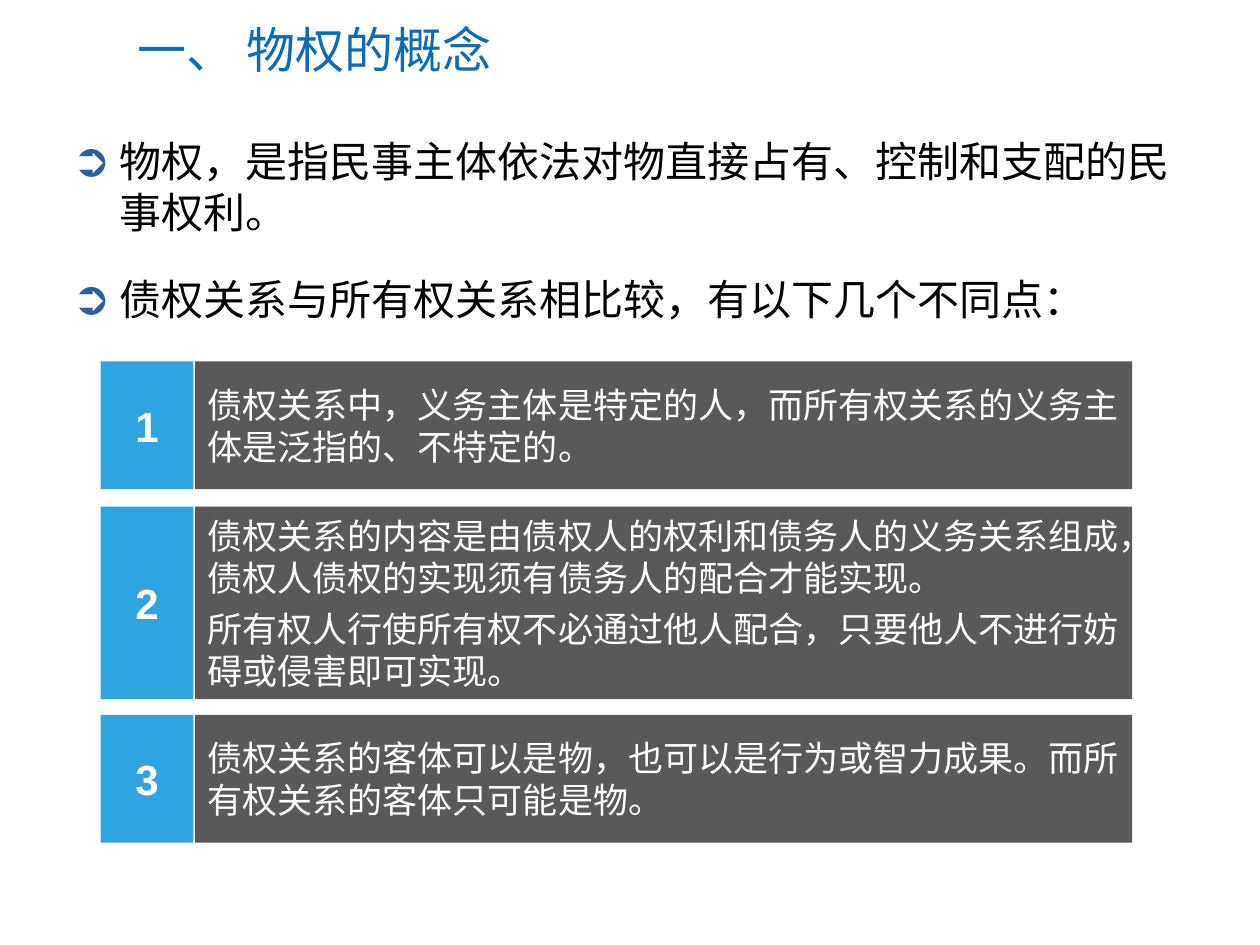
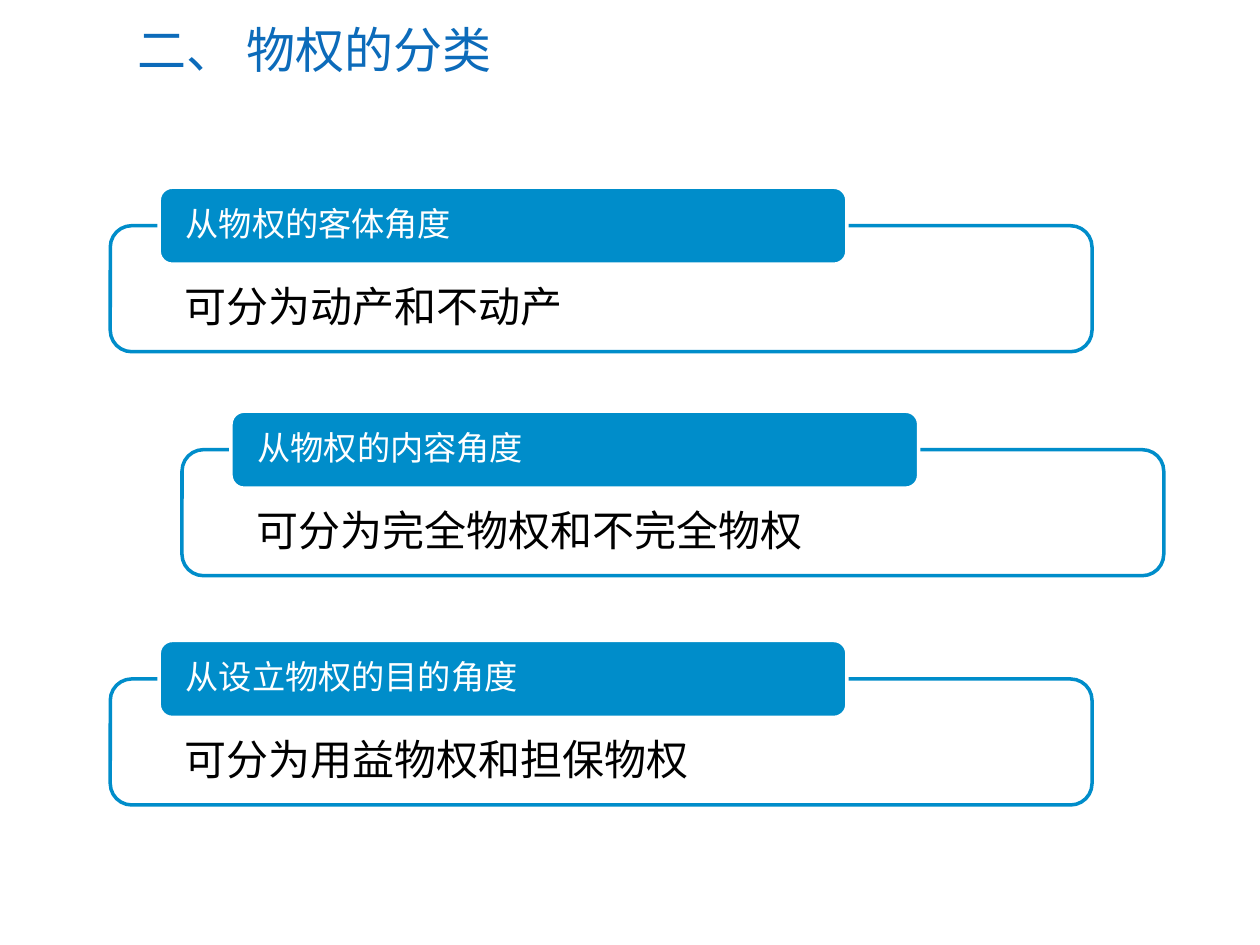
from lxml import etree
from pptx import Presentation
from pptx.dml.color import RGBColor
from pptx.enum.shapes import MSO_SHAPE
from pptx.enum.text import MSO_ANCHOR, MSO_AUTO_SIZE, PP_ALIGN
from pptx.oxml.ns import qn
from pptx.util import Pt

RECTANGLE = MSO_SHAPE.RECTANGLE
ROUNDED = MSO_SHAPE.ROUNDED_RECTANGLE
TOP, MIDDLE = MSO_ANCHOR.TOP, MSO_ANCHOR.MIDDLE
LEFT, CENTER = PP_ALIGN.LEFT, PP_ALIGN.CENTER
NO_AUTOFIT = MSO_AUTO_SIZE.NONE

TITLE_BLUE = RGBColor(0x0C, 0x6B, 0xBA)
BULLET_BLUE = RGBColor(0x28, 0x60, 0xA4)
NUMBER_BLUE = RGBColor(0x2E, 0xA5, 0xDF)
PANEL_BLUE = RGBColor(0x00, 0x8D, 0xCA)
GREY = RGBColor(0x59, 0x59, 0x59)
WHITE = RGBColor(0xFF, 0xFF, 0xFF)
BLACK = RGBColor(0x00, 0x00, 0x00)

BODY_FONT = "Calibri"
NUMBER_FONT = "Arial"
TITLE_AND_CONTENT, TITLE_ONLY = 1, 5
CORNER = 0.17

DEFINITIONS = [
    "物权，是指民事主体依法对物直接占有、控制和支配的民事权利。",
    "债权关系与所有权关系相比较，有以下几个不同点：",
]
DIFFERENCES = [
    (206.5, 73, ["债权关系中，义务主体是特定的人，而所有权关系的义务主体是泛指的、不特定的。"]),
    (289.5, 110, ["债权关系的内容是由债权人的权利和债务人的义务关系组成，债权人债权的实现须有债务人的配合才能实现。",
                  "所有权人行使所有权不必通过他人配合，只要他人不进行妨碍或侵害即可实现。"]),
    (408.5, 73, ["债权关系的客体可以是物，也可以是行为或智力成果。而所有权关系的客体只可能是物。"]),
]
CLASSIFICATIONS = [
    (63, 107, "从物权的客体角度", "可分为动产和不动产"),
    (104, 235, "从物权的内容角度", "可分为完全物权和不完全物权"),
    (63, 366, "从设立物权的目的角度", "可分为用益物权和担保物权"),
]


def place(shape, left, top, width, height):
    shape.left, shape.top = Pt(left), Pt(top)
    shape.width, shape.height = Pt(width), Pt(height)


def write(shape, texts, size, color, font=BODY_FONT, bold=False, align=LEFT,
          anchor=MIDDLE, gap=0, line_spacing=1.0, margins=(7.2, 3.6, 7.2, 3.6)):
    frame = shape.text_frame
    frame.word_wrap = True
    frame.auto_size = NO_AUTOFIT
    frame.vertical_anchor = anchor
    frame.margin_left, frame.margin_top, frame.margin_right, frame.margin_bottom = map(Pt, margins)
    frame.text = "\n".join(texts)
    for index, paragraph in enumerate(frame.paragraphs):
        paragraph.alignment = align
        paragraph.space_before = Pt(gap if index else 0)
        paragraph.line_spacing = line_spacing
        paragraph.font.name = font
        paragraph.font.size = Pt(size)
        paragraph.font.bold = bold
        paragraph.font.color.rgb = color


def add_box(shapes, kind, box, fill, line=None):
    shape = shapes.add_shape(kind, *map(Pt, box))
    shape.shadow.inherit = False
    shape.fill.solid()
    shape.fill.fore_color.rgb = fill
    if line is None:
        shape.line.fill.background()
    else:
        shape.line.color.rgb = line
        shape.line.width = Pt(2)
    if kind == ROUNDED:
        shape.adjustments[0] = CORNER
    return shape


def add_titled_slide(presentation, layout, title):
    slide = presentation.slides.add_slide(presentation.slide_layouts[layout])
    place(slide.shapes.title, 71.5, 7, 628, 42)
    write(slide.shapes.title, [title], 28, TITLE_BLUE)
    return slide


def set_bullet(paragraph):
    properties = paragraph._p.get_or_add_pPr()
    properties.set("marL", str(Pt(27)))
    properties.set("indent", str(Pt(-27)))
    color = etree.SubElement(properties, qn("a:buClr"))
    etree.SubElement(color, qn("a:srgbClr"), val=str(BULLET_BLUE))
    etree.SubElement(properties, qn("a:buSzPct"), val="110000")
    etree.SubElement(properties, qn("a:buFont"), typeface=NUMBER_FONT)
    etree.SubElement(properties, qn("a:buChar"), char="➲")


def fill_definitions(body, left, top, width, height):
    place(body, left, top, width, height)
    body.text_frame.text = "\n".join(DEFINITIONS)
    write(body, DEFINITIONS, 24, BLACK, anchor=TOP, gap=21)
    for paragraph in body.text_frame.paragraphs:
        properties = paragraph._p.get_or_add_pPr()
        run_defaults = properties.find(qn("a:defRPr"))
        set_bullet(paragraph)
        properties.append(run_defaults)


def add_difference(slide, number, left, top, width, height, texts):
    number_width, seam = 53, 1
    shapes = slide.shapes.add_group_shape().shapes
    label = add_box(shapes, RECTANGLE, (left, top, number_width, height), NUMBER_BLUE)
    write(label, [str(number)], 24, WHITE, NUMBER_FONT, bold=True, align=CENTER)
    text_left = left + number_width + seam
    panel = add_box(shapes, RECTANGLE,
                    (text_left, top, left + width - text_left, height), GREY)
    write(panel, texts, 20, WHITE, gap=5)


def add_classification(slide, left, top, width, height, heading, text):
    tab_left, tab_width, tab_height = 28, 393, 44
    shapes = slide.shapes.add_group_shape().shapes
    panel = add_box(shapes, ROUNDED,
                    (left, top + tab_height / 2, width, height - tab_height / 2),
                    WHITE, PANEL_BLUE)
    fill_color = panel.fill._xPr.find(qn("a:solidFill"))[0]
    etree.SubElement(fill_color, qn("a:alpha"), val="90000")
    write(panel, [text], 24, BLACK, anchor=TOP, line_spacing=0.9, margins=(39, 31, 39, 11))
    tab = add_box(shapes, ROUNDED, (left + tab_left, top, tab_width, tab_height),
                  PANEL_BLUE, WHITE)
    write(tab, [heading], 19, WHITE, line_spacing=0.9, margins=(13, 0, 13, 0))


def add_concept_slide(presentation):
    slide = add_titled_slide(presentation, TITLE_AND_CONTENT, "一、 物权的概念")
    fill_definitions(slide.placeholders[1], 34, 74, 644, 116)
    for number, (top, height, texts) in enumerate(DIFFERENCES, 1):
        add_difference(slide, number, 57.5, top, 589.5, height, texts)


def add_classification_slide(presentation):
    slide = add_titled_slide(presentation, TITLE_ONLY, "二、 物权的分类")
    for left, top, heading, text in CLASSIFICATIONS:
        add_classification(slide, left, top, 561, 94, heading, text)


def main():
    presentation = Presentation()
    presentation.slide_width, presentation.slide_height = Pt(720), Pt(540)
    add_concept_slide(presentation)
    add_classification_slide(presentation)
    presentation.save("out.pptx")


if __name__ == "__main__":
    main()
